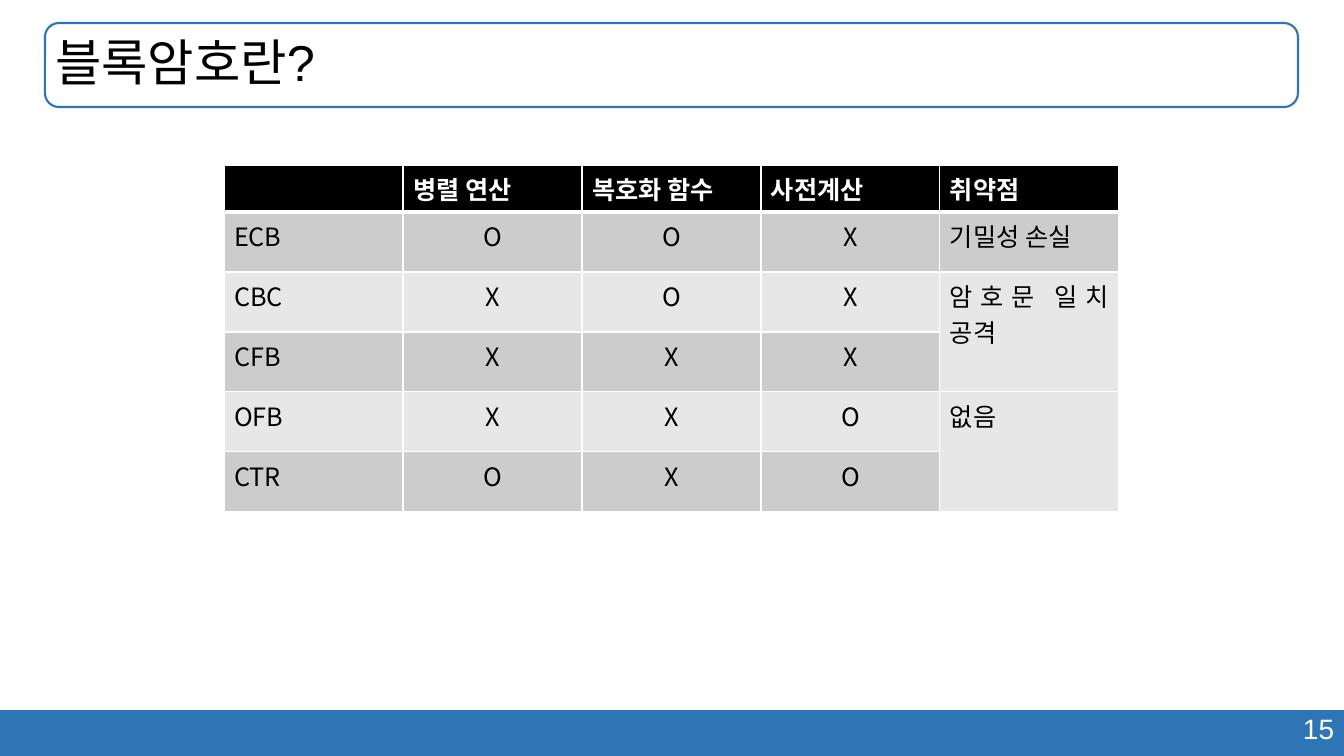
"""Build the slide comparing block cipher modes of operation."""
from lxml import etree
from pptx import Presentation
from pptx.dml.color import RGBColor
from pptx.enum.shapes import MSO_SHAPE
from pptx.enum.text import MSO_ANCHOR, MSO_AUTO_SIZE, PP_ALIGN
from pptx.oxml.ns import qn
from pptx.util import Emu, Pt

TITLE = "블록암호란?"
PAGE = "15"
ROWS = [
    ("", "병렬 연산", "복호화 함수", "사전계산", "취약점"),
    ("ECB", "O", "O", "X", "기밀성 손실"),
    ("CBC", "X", "O", "X", "암호문 일치 공격"),
    ("CFB", "X", "X", "X", ""),
    ("OFB", "X", "X", "O", "없음"),
    ("CTR", "O", "X", "O", ""),
]
MERGED_ROWS = [(2, 3), (4, 5)]
HEADER_BORDERS = {"a:lnL": 1, "a:lnR": 1, "a:lnT": 1, "a:lnB": 3}

RECT, ROUND_RECT = MSO_SHAPE.RECTANGLE, MSO_SHAPE.ROUNDED_RECTANGLE
LEFT, CENTER, RIGHT, JUSTIFY = PP_ALIGN.LEFT, PP_ALIGN.CENTER, PP_ALIGN.RIGHT, PP_ALIGN.JUSTIFY
MIDDLE, NO_FIT = MSO_ANCHOR.MIDDLE, MSO_AUTO_SIZE.NONE
BLUE = RGBColor(0x2E, 0x75, 0xB6)
BLACK = RGBColor(0, 0, 0)
WHITE = RGBColor(0xFF, 0xFF, 0xFF)
BANDS = (RGBColor(0xE7, 0xE7, 0xE7), RGBColor(0xCC, 0xCC, 0xCC))
SANS, KOREAN = "Arial", "Noto Sans CJK KR"

EMU_PER_PX = 914400 / 100.8
SLIDE_W, SLIDE_H = 1344, 756
TITLE_BOX = (45, 23, 1253, 84)
FOOTER_BOX = (0, 710, SLIDE_W, 46)
PAGE_BOX = (951, 707, 393, 44)
TABLE_X, TABLE_Y, COL_W, HEADER_H, ROW_H = 224, 165, 179, 47, 60


def px(n):
    return Emu(round(n * EMU_PER_PX))


def box(sizes):
    return [px(n) for n in sizes]


def style(p, align, size, name, color, bold=False):
    p.alignment = align
    f = p.font
    f.size, f.name, f.bold = Pt(size), name, bold
    f.color.rgb = color


def add_plain(shapes, kind, sizes):
    sp = shapes.add_shape(kind, *box(sizes))
    sp.shadow.inherit = False
    return sp


def add_header_borders(cell):
    tc_pr = cell._tc.get_or_add_tcPr()
    for tag, width in HEADER_BORDERS.items():
        ln = etree.SubElement(tc_pr, qn(tag), w=str(Pt(width)))
        fill = etree.SubElement(ln, qn("a:solidFill"))
        etree.SubElement(fill, qn("a:srgbClr"), val=str(WHITE))


def add_frame(shapes):
    footer = add_plain(shapes, RECT, FOOTER_BOX)
    footer.fill.solid()
    footer.fill.fore_color.rgb = BLUE
    footer.line.fill.background()

    tf = shapes.add_textbox(*box(PAGE_BOX)).text_frame
    tf.word_wrap = True
    tf.text = PAGE
    style(tf.paragraphs[0], RIGHT, 20, SANS, WHITE)

    frame = add_plain(shapes, ROUND_RECT, TITLE_BOX)
    frame.fill.background()
    frame.line.color.rgb = BLUE
    frame.line.width = Pt(1.5)


def add_title(shapes):
    title = shapes.title
    title.left, title.top, title.width, title.height = box(TITLE_BOX)
    tf = title.text_frame
    tf.text = TITLE
    tf.auto_size, tf.vertical_anchor = NO_FIT, MIDDLE
    p = tf.paragraphs[0]
    p.line_spacing = 0.9
    style(p, LEFT, 36, SANS, BLACK)


def add_modes_table(shapes):
    n_rows, n_cols = len(ROWS), len(ROWS[0])
    sizes = (TABLE_X, TABLE_Y, COL_W * n_cols, HEADER_H + ROW_H * (n_rows - 1))
    table = shapes.add_table(n_rows, n_cols, *box(sizes)).table
    for col in table.columns:
        col.width = px(COL_W)
    for r, values in enumerate(ROWS):
        header = r == 0
        table.rows[r].height = px(HEADER_H if header else ROW_H)
        for c, text in enumerate(values):
            cell = table.cell(r, c)
            if header:
                add_header_borders(cell)
            cell.fill.solid()
            cell.fill.fore_color.rgb = BLACK if header else BANDS[r % 2]
            cell.text = text
            p = cell.text_frame.paragraphs[0]
            style(p, CENTER if text in ("O", "X") else JUSTIFY, 18, KOREAN,
                  WHITE if header else BLACK, header)
            latin = p._p.pPr.find(qn("a:defRPr")).find(qn("a:latin"))
            latin.addnext(latin.makeelement(qn("a:ea"), typeface=KOREAN))
    for first, last in MERGED_ROWS:
        table.cell(first, n_cols - 1).merge(table.cell(last, n_cols - 1))


def main():
    prs = Presentation()
    prs.slide_width, prs.slide_height = px(SLIDE_W), px(SLIDE_H)
    shapes = prs.slides.add_slide(prs.slide_layouts[5]).shapes
    add_frame(shapes)
    add_title(shapes)
    add_modes_table(shapes)
    prs.save("out.pptx")


if __name__ == "__main__":
    main()
